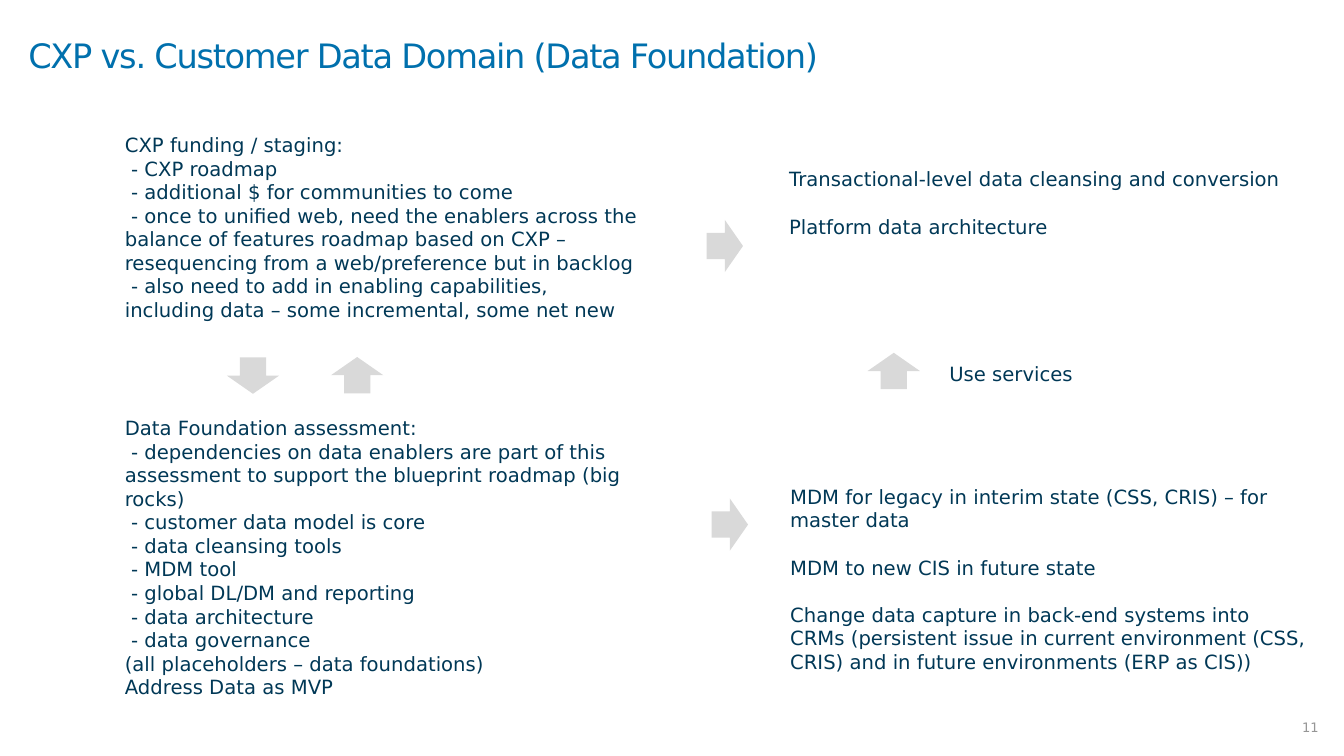
from dataclasses import dataclass

import pptx
import pptx.dml.color
import pptx.enum.shapes
import pptx.enum.text
import pptx.util

Pt = pptx.util.Pt
MSO_ANCHOR = pptx.enum.text.MSO_ANCHOR
PP_ALIGN = pptx.enum.text.PP_ALIGN
FONT_NAME = "DejaVu Sans"
BODY_LINE = 16.85
DASH_INDENT = 4.45
ARROW_WIDTH, ARROW_HEIGHT = 37.4, 26
DOWN, UP, RIGHT = 0, 180, 270


@dataclass
class Line:
    text: str
    blank_lines_before: int = 0


@dataclass
class Note:
    left: float
    top: float
    width: float
    height: float
    lines: list[Line]
    wrap: bool = True


@dataclass
class Arrow:
    left: float
    top: float
    rotation: int


NOTES = [
    Note(82.1, 91.4, 382.3, 414.7, [
        Line("CXP funding / staging:"),
        Line("- CXP roadmap"),
        Line("- additional $ for communities to come"),
        Line("- once to unified web, need the enablers across the balance of features "
             "roadmap based on CXP – resequencing from a web/preference but in backlog"),
        Line("- also need to add in enabling capabilities, including data – "
             "some incremental, some net new"),
        Line("Data Foundation assessment:", 4),
        Line("- dependencies on data enablers are part of this assessment "
             "to support the blueprint roadmap (big rocks)"),
        Line("- customer data model is core"),
        Line("- data cleansing tools"),
        Line("- MDM tool"),
        Line("- global DL/DM and reporting"),
        Line("- data architecture"),
        Line("- data governance"),
        Line("(all placeholders – data foundations)"),
        Line("Address Data as MVP"),
    ]),
    Note(556.6, 115.9, 382.3, 92.2, [
        Line("Transactional-level data cleansing and conversion"),
        Line("Platform data architecture", 1),
    ]),
    Note(557.3, 342.7, 382.3, 159.8, [
        Line("MDM for legacy in interim state (CSS, CRIS) – for master data"),
        Line("MDM to new CIS in future state", 1),
        Line("Change data capture in back-end systems into CRMs (persistent issue in "
             "current environment (CSS, CRIS) and in future environments (ERP as CIS))", 1),
    ]),
    Note(671, 254.9, 103, 24.5, [Line("Use services")], wrap=False),
]

ARROWS = [
    Arrow(162, 255.3, DOWN),
    Arrow(236.4, 255, UP),
    Arrow(499, 162.7, RIGHT),
    Arrow(502.6, 361.7, RIGHT),
    Arrow(619.7, 252, UP),
]


def color(hex_value: str) -> pptx.dml.color.RGBColor:
    return pptx.dml.color.RGBColor.from_string(hex_value)


def format_font(paragraph, size: float, hex_value: str) -> None:
    paragraph.font.name = FONT_NAME
    paragraph.font.size = Pt(size)
    paragraph.font.color.rgb = color(hex_value)


def add_title(slide, text: str) -> None:
    title = slide.shapes.title
    title.left, title.top, title.width, title.height = Pt(0), Pt(0), Pt(960), Pt(83.5)
    frame = title.text_frame
    frame.text = text
    frame.auto_size = pptx.enum.text.MSO_AUTO_SIZE.NONE
    frame.vertical_anchor = MSO_ANCHOR.MIDDLE
    frame.margin_left, frame.margin_right = Pt(20.2), Pt(10.8)
    frame.margin_top = frame.margin_bottom = Pt(2.2)
    paragraph = frame.paragraphs[0]
    paragraph.alignment = PP_ALIGN.LEFT
    paragraph.line_spacing = 0.85
    format_font(paragraph, 24, "0070AD")
    paragraph.runs[0].font._element.set("spc", "-90")


def add_slide_number(slide, number: str) -> None:
    box = slide.shapes.add_textbox(Pt(912.2), Pt(507.6), Pt(47.5), Pt(25.2))
    box.text_frame.text = number
    box.text_frame.vertical_anchor = MSO_ANCHOR.MIDDLE
    paragraph = box.text_frame.paragraphs[0]
    paragraph.alignment = PP_ALIGN.CENTER
    paragraph.line_spacing = 0.85
    format_font(paragraph, 9.3, "969696")


def add_note(slide, note: Note) -> None:
    box = slide.shapes.add_textbox(Pt(note.left), Pt(note.top), Pt(note.width), Pt(note.height))
    frame = box.text_frame
    frame.word_wrap = note.wrap
    frame.text = "\n".join(line.text for line in note.lines)
    for paragraph, line in zip(frame.paragraphs, note.lines):
        if line.text.startswith("-"):
            properties = paragraph._p.get_or_add_pPr()
            properties.set("marL", "0")
            properties.set("indent", str(Pt(DASH_INDENT)))
        paragraph.line_spacing = Pt(BODY_LINE)
        if line.blank_lines_before:
            paragraph.space_before = Pt(line.blank_lines_before * BODY_LINE)
        format_font(paragraph, 14, "003856")


def add_arrow(slide, arrow: Arrow) -> None:
    shape = slide.shapes.add_shape(
        pptx.enum.shapes.MSO_SHAPE.DOWN_ARROW,
        Pt(arrow.left), Pt(arrow.top), Pt(ARROW_WIDTH), Pt(ARROW_HEIGHT))
    shape.rotation = arrow.rotation
    shape.shadow.inherit = False
    shape.fill.solid()
    shape.fill.fore_color.rgb = color("D9D9D9")
    shape.line.fill.background()


def main() -> None:
    presentation = pptx.Presentation()
    presentation.slide_width, presentation.slide_height = Pt(960), Pt(540)
    slide = presentation.slides.add_slide(presentation.slide_layouts.get_by_name("Title Only"))
    add_title(slide, "CXP vs. Customer Data Domain (Data Foundation)")
    for note in NOTES:
        add_note(slide, note)
    for arrow in ARROWS:
        add_arrow(slide, arrow)
    add_slide_number(slide, "11")
    presentation.save("out.pptx")


if __name__ == "__main__":
    main()
